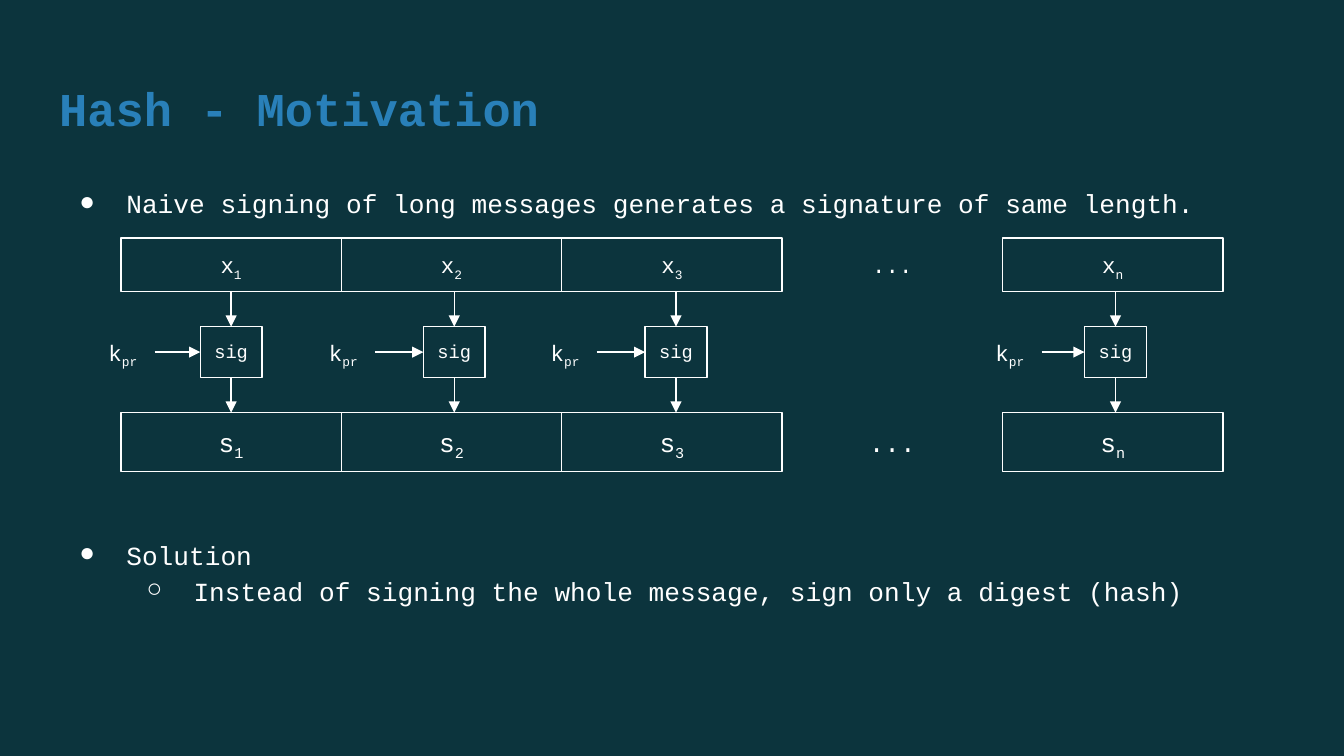
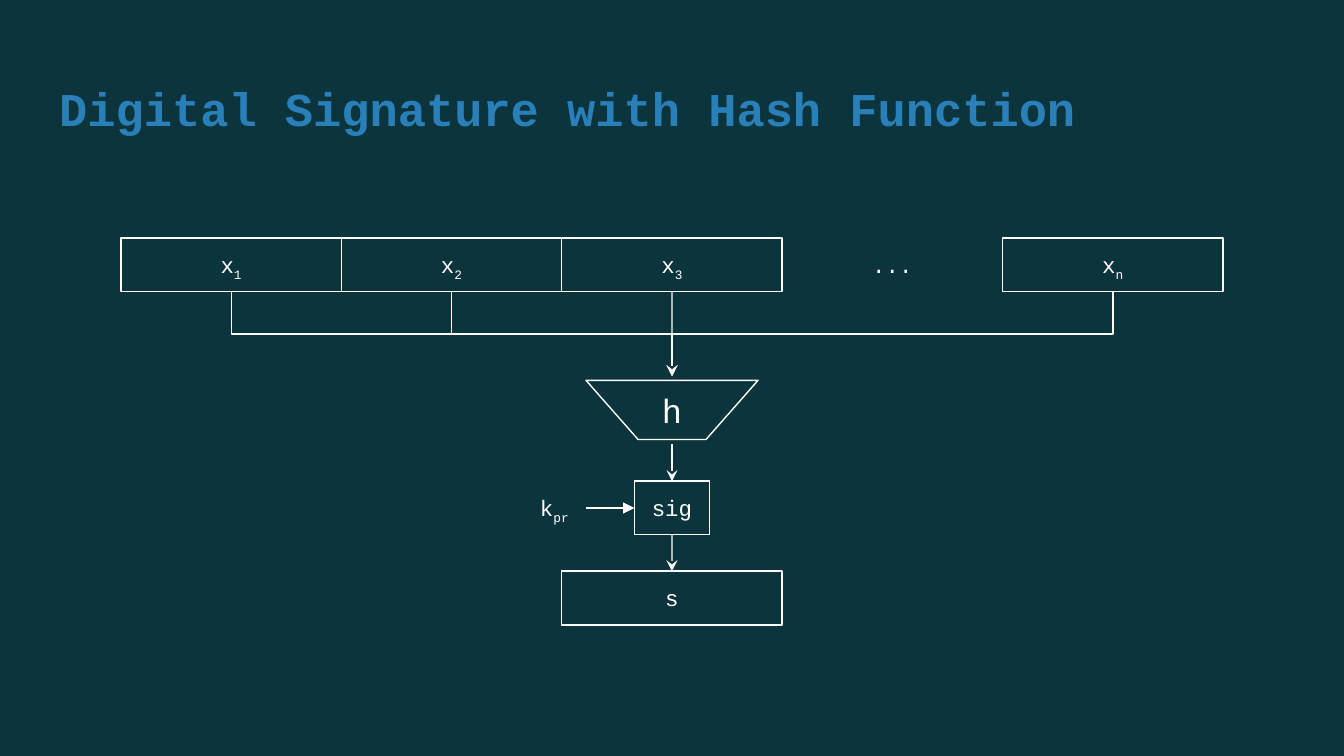
"""Build two slides on signing long messages with and without a hash."""
from dataclasses import dataclass
from itertools import product
from typing import Any, NamedTuple, Optional

from lxml.etree import SubElement
from pptx import Presentation
from pptx.dml.color import RGBColor
from pptx.enum.shapes import MSO_CONNECTOR, MSO_SHAPE
from pptx.enum.text import MSO_ANCHOR, MSO_AUTO_SIZE, PP_ALIGN
from pptx.oxml.ns import qn
from pptx.util import Inches, Pt


@dataclass(frozen=True)
class Theme:
    """Colours, font and type sizes of the deck."""
    background: RGBColor = RGBColor(0x0C, 0x34, 0x3D)
    title: RGBColor = RGBColor(0x29, 0x80, 0xB9)
    ink: RGBColor = RGBColor(0xFF, 0xFF, 0xFF)
    font: str = "Courier New"
    title_size: float = 25.2
    body_size: float = 14
    label_size: float = 12
    small_size: float = 10
    hash_size: float = 18
    line: float = 0.75


THEME = Theme()
FRAME = dict(word_wrap=True, auto_size=MSO_AUTO_SIZE.NONE,
             vertical_anchor=MSO_ANCHOR.TOP,
             margin_left=Inches(0.1), margin_right=Inches(0.1),
             margin_top=Inches(0.1), margin_bottom=Inches(0.1))


class Area(NamedTuple):
    """A rectangle in inches."""
    left: float
    top: float
    width: float
    height: float


class Label(NamedTuple):
    """A base text with an optional subscript."""
    base: str
    sub: str = ""
    size: float = THEME.label_size


class Bullet(NamedTuple):
    """One list item."""
    text: str
    level: int = 0
    mark: str = "●"
    before: float = 0


class Signer(NamedTuple):
    """A sig box centre and the left edge of its key label."""
    center: float
    key_left: float


TITLE_AREA = Area(0.34, 0.49, 9.32, 0.63)
BODY_AREA = Area(0.34, 1.26, 9.32, 3.74)
COLUMN_LEFT, COLUMN_WIDTH = 0.9, 1.64
MESSAGE_TOP, MESSAGE_HEIGHT = 1.77, 0.4
MESSAGE_BOTTOM = MESSAGE_TOP + MESSAGE_HEIGHT
SUBSCRIPTS = ("1", "2", "3", None, "n")
KEY_WIDTH, KEY_HEIGHT = 0.47, 0.4
BULLETS = (
    Bullet("Naive signing of long messages generates a signature of same length."),
    Bullet("Solution", before=169),
    Bullet("Instead of signing the whole message, sign only a digest (hash)", 1, "○"),
)
SIGNERS = (Signer(1.72, 0.68), Signer(3.38, 2.32), Signer(5.03, 3.97), Signer(8.3, 7.28))


def apply(target: Any, values: dict) -> None:
    """Set each named attribute on the target."""
    for name, value in values.items():
        setattr(target, name, value)


def inches(area: Area) -> list:
    """Convert an area to lengths."""
    return [Inches(v) for v in area]


def place(sp: Any, area: Area) -> None:
    """Move and size a shape."""
    apply(sp, dict(zip(("left", "top", "width", "height"), inches(area))))


def add_run(p: Any, text: str, size: float, color: RGBColor = THEME.ink,
            bold: bool = False) -> Any:
    """Append a formatted run."""
    r = p.add_run()
    r.text = text
    apply(r.font, dict(name=THEME.font, size=Pt(size), bold=bold))
    r.font.color.rgb = color
    return r


def add_title(s: Any, text: str) -> None:
    """Fill the title placeholder."""
    sp = s.shapes.title
    place(sp, TITLE_AREA)
    tf = sp.text_frame
    apply(tf, FRAME)
    p = tf.paragraphs[0]
    p.alignment = PP_ALIGN.LEFT
    add_run(p, text, THEME.title_size, THEME.title, True)


def add_bullets(s: Any, bullets: tuple) -> None:
    """Fill the body placeholder with a list."""
    sp = s.placeholders[1]
    place(sp, BODY_AREA)
    tf = sp.text_frame
    apply(tf, FRAME)
    for i, item in enumerate(bullets):
        p = tf.add_paragraph() if i else tf.paragraphs[0]
        apply(p, dict(level=item.level, line_spacing=1.15,
                      space_before=Pt(item.before), space_after=Pt(0)))
        pPr = p._p.get_or_add_pPr()
        pPr.set("marL", str(Inches(0.5 * (item.level + 1))))
        pPr.set("indent", str(Inches(-0.35)))
        color = SubElement(pPr, qn("a:buClr"))
        SubElement(color, qn("a:srgbClr"), val=str(THEME.ink))
        SubElement(pPr, qn("a:buFont"), typeface=THEME.font)
        SubElement(pPr, qn("a:buChar"), char=item.mark)
        add_run(p, item.text, THEME.body_size)


def write_label(sp: Any, label: Label) -> None:
    """Centre a label in a shape."""
    tf = sp.text_frame
    apply(tf, FRAME)
    p = tf.paragraphs[0]
    p.alignment = PP_ALIGN.CENTER
    add_run(p, label.base, label.size)
    if label.sub:
        r = add_run(p, label.sub, label.size)
        r._r.get_or_add_rPr().set("baseline", "-25000")


def stroke(sp: Any) -> None:
    """Give a shape or connector the thin outline."""
    sp.line.color.rgb = THEME.ink
    sp.line.width = Pt(THEME.line)


def add_box(s: Any, area: Area, label: Optional[Label] = None,
            kind: Any = MSO_SHAPE.RECTANGLE) -> Any:
    """Draw an outlined shape."""
    sp = s.shapes.add_shape(kind, *inches(area))
    sp.shadow.inherit = False
    sp.fill.background()
    stroke(sp)
    if label:
        write_label(sp, label)
    return sp


def add_text(s: Any, area: Area, label: Label) -> None:
    """Draw a bare label."""
    write_label(s.shapes.add_textbox(*inches(area)), label)


def finish(cxn: Any, head: Optional[str]) -> None:
    """Style a connector and add its arrowhead."""
    stroke(cxn)
    if head:
        SubElement(cxn.line._get_or_add_ln(), qn("a:tailEnd"), type=head)
    SubElement(cxn._element.spPr, qn("a:effectLst"))


def find_side(s: Any, x: float, y: float) -> Optional[tuple]:
    """Find the shape and side whose middle lies at a point."""
    for sp in s.shapes:
        if sp.is_placeholder or not sp.has_text_frame:
            continue
        mid_x, mid_y = sp.left + sp.width / 2, sp.top + sp.height / 2
        sides = ((mid_x, sp.top), (sp.left, mid_y),
                 (mid_x, sp.top + sp.height), (sp.left + sp.width, mid_y))
        for site, (sx, sy) in enumerate(sides):
            if max(abs(sx - Inches(x)), abs(sy - Inches(y))) < Inches(0.01):
                return sp, site
    return None


def add_line(s: Any, start: tuple, end: tuple, head: Optional[str] = "triangle") -> None:
    """Draw a straight connector, joined to the shapes it meets."""
    cxn = s.shapes.add_connector(MSO_CONNECTOR.STRAIGHT, *map(Inches, start + end))
    finish(cxn, head)
    for point, join in ((start, cxn.begin_connect), (end, cxn.end_connect)):
        found = find_side(s, *point)
        if found:
            join(*found)


def add_drop_elbow(s: Any, start: tuple, end: tuple) -> None:
    """Draw a bent connector that leaves and arrives vertically."""
    (x1, y1), (x2, y2) = start, end
    mid_x, mid_y = (x1 + x2) / 2, (y1 + y2) / 2
    across, down = abs(x2 - x1) / 2, (y2 - y1) / 2
    turn = 1 if x1 < x2 else -1
    cxn = s.shapes.add_connector(
        MSO_CONNECTOR.ELBOW, Inches(mid_x + turn * down), Inches(mid_y - across),
        Inches(mid_x - turn * down), Inches(mid_y + across))
    cxn._element.spPr.find(qn("a:xfrm")).set("rot", str((180 + 90 * turn) * 60000))
    finish(cxn, "stealth")


def column_center(i: int) -> float:
    """Give the middle of a block column."""
    return COLUMN_LEFT + COLUMN_WIDTH * (i + 0.5)


def add_blocks(s: Any, letter: str, top: float, height: float, size: float) -> None:
    """Draw a row of numbered blocks with an ellipsis."""
    for i, sub in enumerate(SUBSCRIPTS):
        area = Area(COLUMN_LEFT + COLUMN_WIDTH * i, top, COLUMN_WIDTH, height)
        if sub:
            add_box(s, area, Label(letter, sub, size))
        else:
            add_text(s, area, Label("...", size=size))


def add_signer(s: Any, signer: Signer, top: float, width: float, height: float,
               size: float) -> None:
    """Draw a sig box with its private key."""
    left, middle = signer.center - width / 2, top + height / 2
    add_box(s, Area(left, top, width, height), Label("sig", size=size))
    add_text(s, Area(signer.key_left, middle - KEY_HEIGHT / 2, KEY_WIDTH, KEY_HEIGHT),
             Label("k", "pr"))
    add_line(s, (signer.key_left + KEY_WIDTH, middle), (left, middle))


def build_motivation(prs: Any) -> None:
    """Show one signature per message block."""
    s = prs.slides.add_slide(prs.slide_layouts[1])
    add_title(s, "Hash - Motivation")
    add_bullets(s, BULLETS)
    add_blocks(s, "x", MESSAGE_TOP, MESSAGE_HEIGHT, THEME.label_size)
    add_blocks(s, "s", 3.07, 0.44, THEME.body_size)
    spans = ((MESSAGE_BOTTOM, 2.43), (2.81, 3.07))
    for signer in SIGNERS:
        add_signer(s, signer, 2.43, 0.46, 0.38, THEME.small_size)
    for signer, (top, bottom) in product(SIGNERS, spans):
        add_line(s, (signer.center, top), (signer.center, bottom))


def build_hash_signature(prs: Any) -> None:
    """Show one signature over the hash of all blocks."""
    s = prs.slides.add_slide(prs.slide_layouts[5])
    add_title(s, "Digital Signature with Hash Function")
    add_blocks(s, "x", MESSAGE_TOP, MESSAGE_HEIGHT, THEME.label_size)
    axis, bus = column_center(2), 2.49
    funnel = add_box(s, Area(axis - 0.64, 2.83, 1.28, 0.44), kind=MSO_SHAPE.TRAPEZOID)
    funnel.rotation = 180
    funnel.adjustments[0] = 0.88
    add_text(s, Area(axis - 0.23, 2.8, 0.46, 0.5), Label("h", size=THEME.hash_size))
    for i in (0, 4):
        add_drop_elbow(s, (column_center(i), MESSAGE_BOTTOM), (axis, 2.8))
    for i in (1, 2):
        x = column_center(i)
        add_line(s, (x, MESSAGE_BOTTOM), (x, bus), None)
    add_signer(s, Signer(axis, 3.89), 3.58, 0.56, 0.4, THEME.label_size)
    add_box(s, Area(axis - COLUMN_WIDTH / 2, 4.25, COLUMN_WIDTH, 0.4), Label("s"))
    for top, bottom in ((3.3, 3.58), (3.98, 4.25)):
        add_line(s, (axis, top), (axis, bottom), "stealth")


def main() -> None:
    """Build and save the deck."""
    prs = Presentation()
    width = Inches(10)
    apply(prs, dict(slide_width=width, slide_height=width * 9 // 16))
    fill = prs.slide_master.background.fill
    fill.solid()
    fill.fore_color.rgb = THEME.background
    build_motivation(prs)
    build_hash_signature(prs)
    prs.save("out.pptx")


if __name__ == "__main__":
    main()
